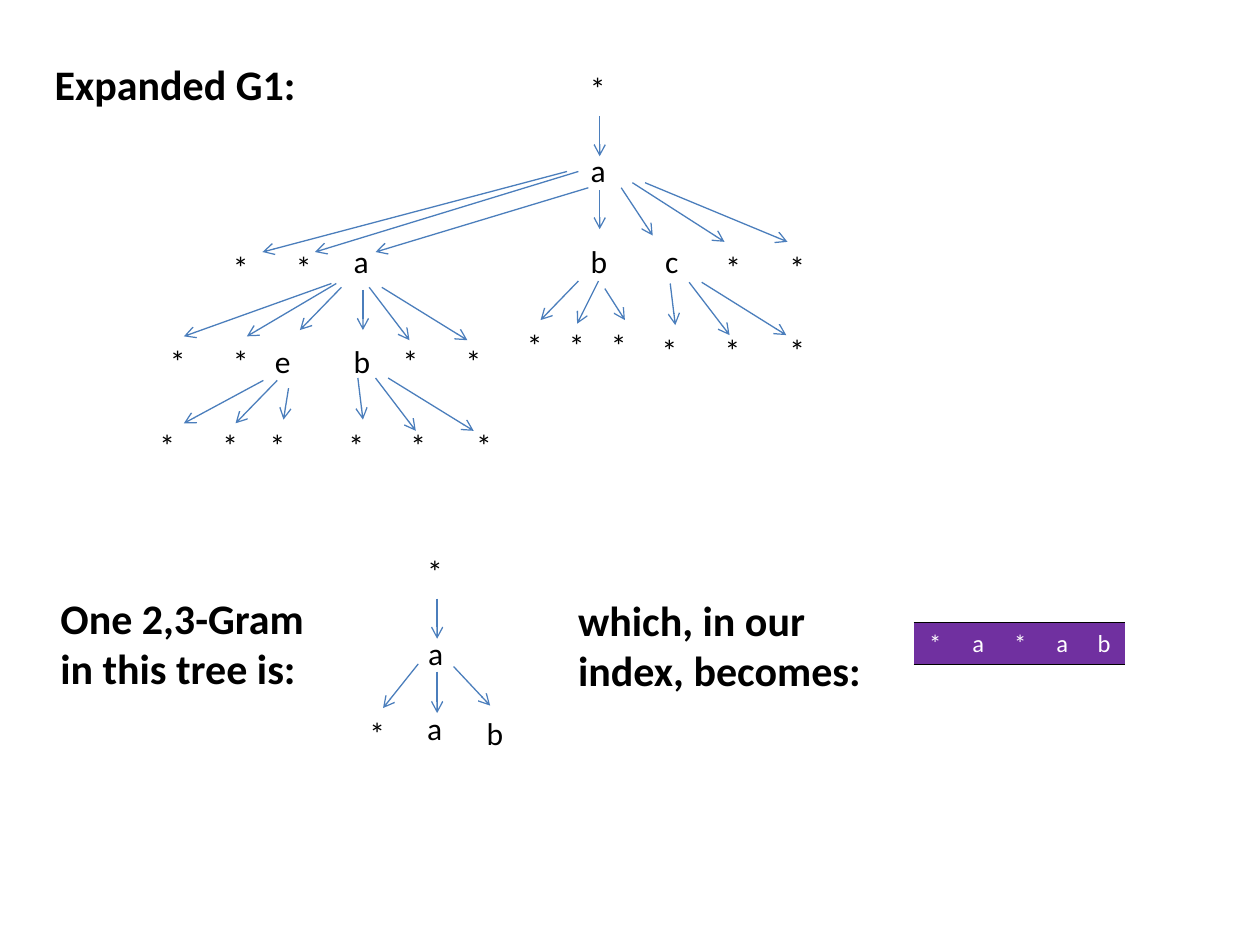
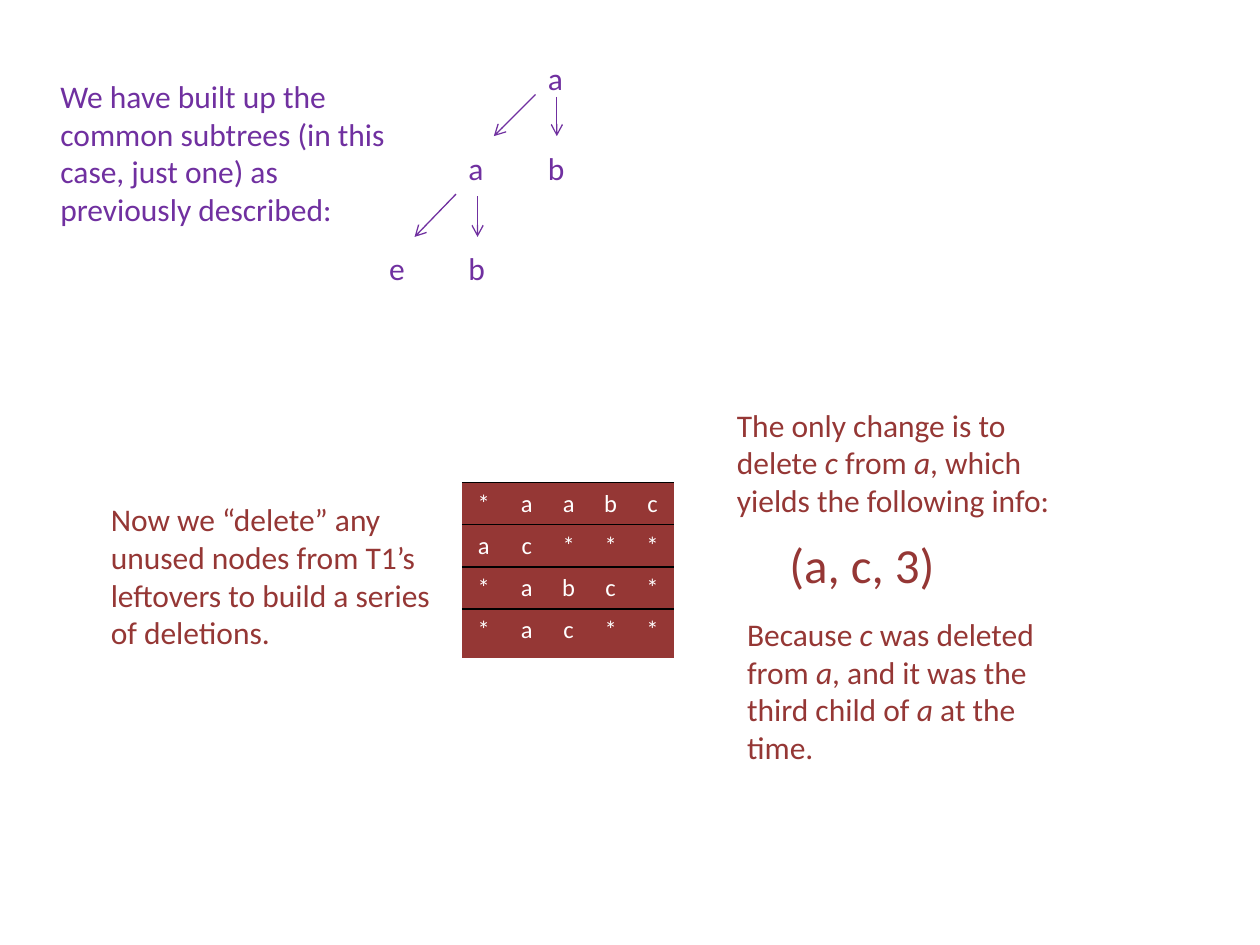
from lxml import etree
from pptx import Presentation
from pptx.dml import color
from pptx.enum import shapes, text
from pptx.oxml import ns
from pptx.util import Pt

HUES = {"ink": "000000", "white": "FFFFFF", "blue": "4B7EBC",
        "plum": "7030A0", "brick": "953735"}
FONT = "Calibri"
NODE = 30


def rgb(name):
    return color.RGBColor.from_string(HUES[name])


def child(node, tag, **attrs):
    return etree.SubElement(node, ns.qn(tag), attrs)


class Deck:
    def __init__(self):
        self.prs = Presentation()
        self.prs.slide_width, self.prs.slide_height = Pt(720), Pt(540)

    def start(self, ink, line, titled=False):
        layout = self.prs.slide_layouts[5 if titled else 6]
        self.slide = self.prs.slides.add_slide(layout)
        self.ink, self.line = ink, line

    def style(self, para, size, ink, bold=False):
        para.font.name, para.font.size = FONT, Pt(size)
        para.font.bold = bold
        para.font.color.rgb = rgb(ink)

    def label(self, shape, words, size, ink, bold):
        frame = shape.text_frame
        frame.word_wrap = True
        frame.auto_size = text.MSO_AUTO_SIZE.SHAPE_TO_FIT_TEXT
        frame.vertical_anchor = text.MSO_ANCHOR.TOP
        para = frame.paragraphs[0]
        para.alignment = text.PP_ALIGN.LEFT
        self.style(para, size, ink or self.ink, bold)
        for i, part in enumerate(words.split("_")):
            run = para.add_run()
            run.text = part
            if i % 2:
                run.font.italic = True

    def title(self, words, x, y, w, h):
        shape = self.slide.shapes.title
        shape.left, shape.top, shape.width, shape.height = map(Pt, (x, y, w, h))
        self.label(shape, words, 24, None, True)

    def box(self, words, x, y, w, h, size=18, ink=None, bold=False):
        shape = self.slide.shapes.add_textbox(*map(Pt, (x, y, w, h)))
        self.label(shape, words, size, ink, bold)

    def row(self, y, marks, *lefts):
        for mark, x in zip(marks, lefts):
            self.box(mark, x, y, NODE, NODE)

    def fan(self, top, end, *pairs):
        for x, to in pairs:
            link = self.slide.shapes.add_connector(
                shapes.MSO_CONNECTOR.STRAIGHT, *map(Pt, (x, top, to, end)))
            link.line.color.rgb = rgb(self.line)
            link.line.width = Pt(0.75)
            props = link._element.spPr
            child(props.find(ns.qn("a:ln")), "a:tailEnd", type="arrow")
            child(props, "a:effectLst")

    def edge(self, cell, side, shown):
        props = cell._tc.get_or_add_tcPr()
        line = child(props, "a:ln" + side, w=str(Pt(1)))
        if shown:
            fill = child(line, "a:solidFill")
            child(fill, "a:srgbClr", val=HUES["ink"])
        else:
            child(line, "a:noFill")

    def grid(self, x, y, rows, highs, fill, base):
        wides = [25] + [24] * 4
        table = self.slide.shapes.add_table(
            len(rows), len(wides), Pt(x), Pt(y),
            Pt(sum(wides)), Pt(sum(highs))).table
        table.first_row = table.horz_banding = False
        for col, wide in zip(table.columns, wides):
            col.width = Pt(wide)
        for r, (marks, high) in enumerate(zip(rows, highs)):
            table.rows[r].height = Pt(high)
            for c, mark in enumerate(marks):
                cell = table.cell(r, c)
                cell.text = mark
                para = cell.text_frame.paragraphs[0]
                para.alignment = text.PP_ALIGN.CENTER
                self.style(para, 14, "white")
                low = base or r < len(rows) - 1
                for side, shown in zip("LRTB", (False, False, True, low)):
                    self.edge(cell, side, shown)
                cell.fill.solid()
                cell.fill.fore_color.rgb = rgb(fill)


deck = Deck()

deck.start("ink", "blue", titled=True)
deck.title("Expanded G1:", 24, 30, 156, 36)

deck.row(36, "*", 330)
deck.row(82.8, "a", 330.5)
deck.row(134.6, "abc", 195, 330.5, 373)
deck.row(138.2, "****", 126, 162, 407.5, 444)
deck.row(182.9, "***", 294, 318, 342)
deck.row(185.8, "***", 371, 407, 444)
deck.row(192.2, "**eb**", 90, 126, 150, 195, 223, 259)
deck.row(239.8, "******", 84, 120, 147, 192, 227.5, 265)

deck.fan(66.2, 89.3, (342.7, 342.7))
deck.fan(98, 144, (324, 150), (330.5, 180))
deck.fan(107.3, 144, (336.2, 214.6))
deck.fan(108.7, 131, (342.7, 342.7))
deck.fan(107.3, 134.6, (355, 373))
deck.fan(104.4, 138.2, (361.4, 414), (368.6, 450))

deck.fan(162, 192.2, (189.4, 105.1), (192.2, 141.1))
deck.fan(164.2, 188.6, (195.1, 171.4))
deck.fan(165.6, 188.6, (207.4, 207.4))
deck.fan(164.2, 194.4, (211, 234), (218.2, 267.1))

deck.fan(160.6, 182.9, (330.5, 308.9))
deck.fan(160.6, 185, (342, 329.8))
deck.fan(164.9, 182.9, (345.6, 357.1))
deck.fan(162, 185.8, (383, 385.9))
deck.fan(161.3, 191.5, (393.8, 416.9), (401, 449.3))

deck.fan(217.4, 241.9, (150.5, 105.1), (158.4, 134.6))
deck.fan(221.8, 239.8, (164.9, 162))
deck.fan(216, 239.8, (204.5, 207.4))
deck.fan(216, 246.2, (214.6, 237.6), (221.8, 270.7))

deck.row(311.8, "*", 237)
deck.row(358.6, "a", 237.6)
deck.row(401.8, "a", 237)
deck.row(404.6, "*b", 204, 271)
deck.fan(342, 365, (249.8, 249.8))
deck.fan(379.4, 404.6, (239, 218.9))
deck.fan(383.8, 407.5, (249.8, 249.8))
deck.fan(380.9, 403.2, (259.2, 280.1))

deck.box("One 2,3-Gram in this tree is:", 27.4, 334.8, 156, 65.5, 24, bold=True)
deck.box("which, in our index, becomes:", 323.3, 336, 180.7, 65.5, 24, bold=True)
deck.grid(522, 355.7, ["*a*ab"], [24], "plum", base=True)

deck.start("plum", "plum")
deck.row(30.2, "a", 306)
deck.row(81.4, "ab", 260.6, 306)
deck.row(139, "eb", 215.3, 260.6)
deck.fan(54, 77.8, (306, 282.2))
deck.fan(55.4, 77.8, (318.2, 318.2))
deck.fan(110.9, 135.4, (260.6, 236.9))
deck.fan(112.3, 135.4, (272.9, 272.9))
deck.box("We have built up the common subtrees (in this case, just one) "
         "as previously described:", 27.4, 40.3, 204, 94.3)

deck.grid(264, 275.8, ["*aabc", "ac***", "*abc*", "*ac**"],
          [24, 24, 24, 28], "brick", base=False)
deck.box("Now we “delete” any unused nodes from T1’s leftovers "
         "to build a series of deletions.", 56.2, 282.2, 204, 94.3, ink="brick")
deck.box("The only change is to delete _c_ from _a_, which yields "
         "the following info:", 414, 228.2, 204, 72.7, ink="brick")
deck.box("(a, c, 3)", 444, 301.7, 204, 41, 28, "brick")
deck.box("Because _c_ was deleted from _a_, and it was the third child "
         "of _a_ at the time.", 419.8, 347.8, 204, 94.3, ink="brick")

deck.prs.save("out.pptx")
